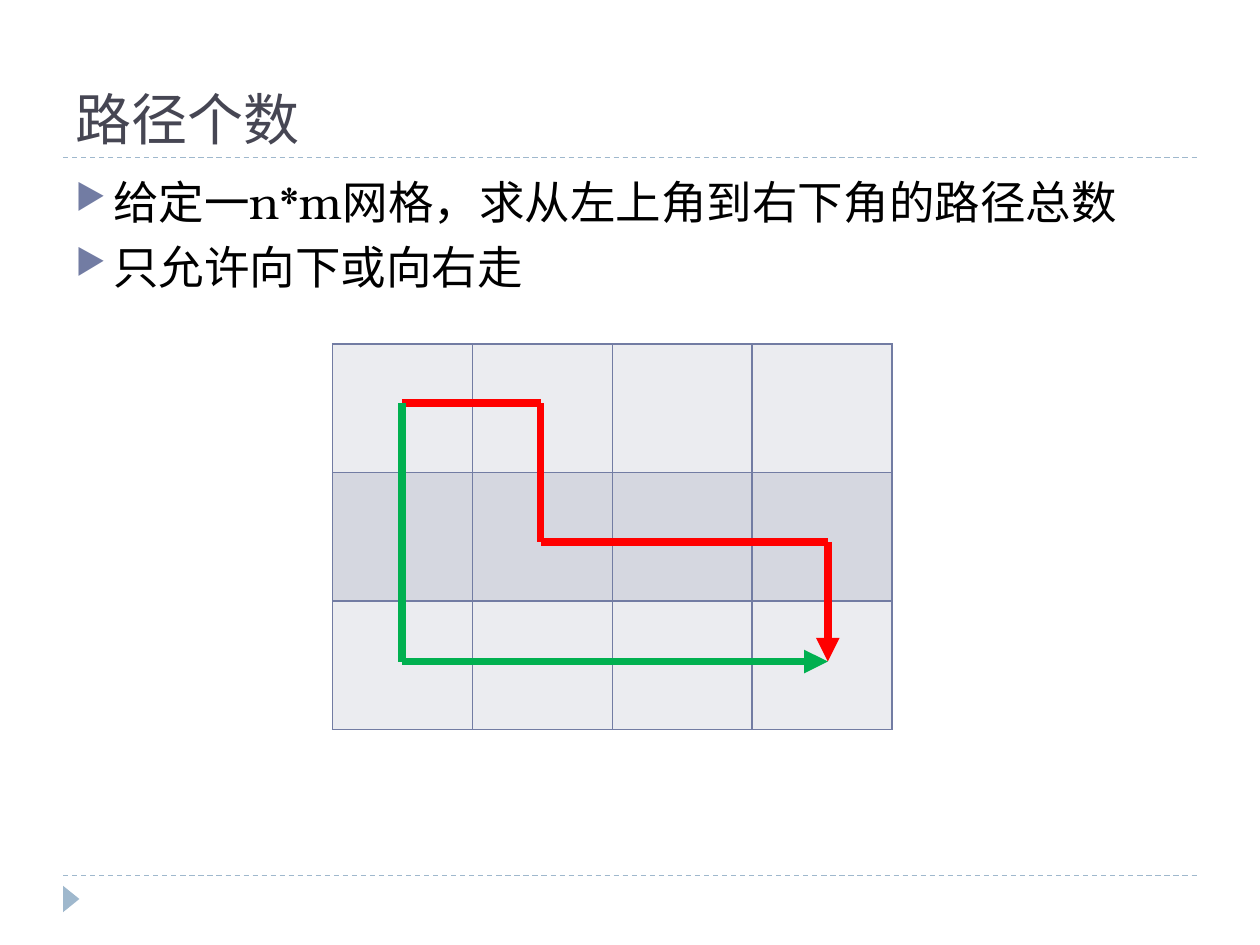
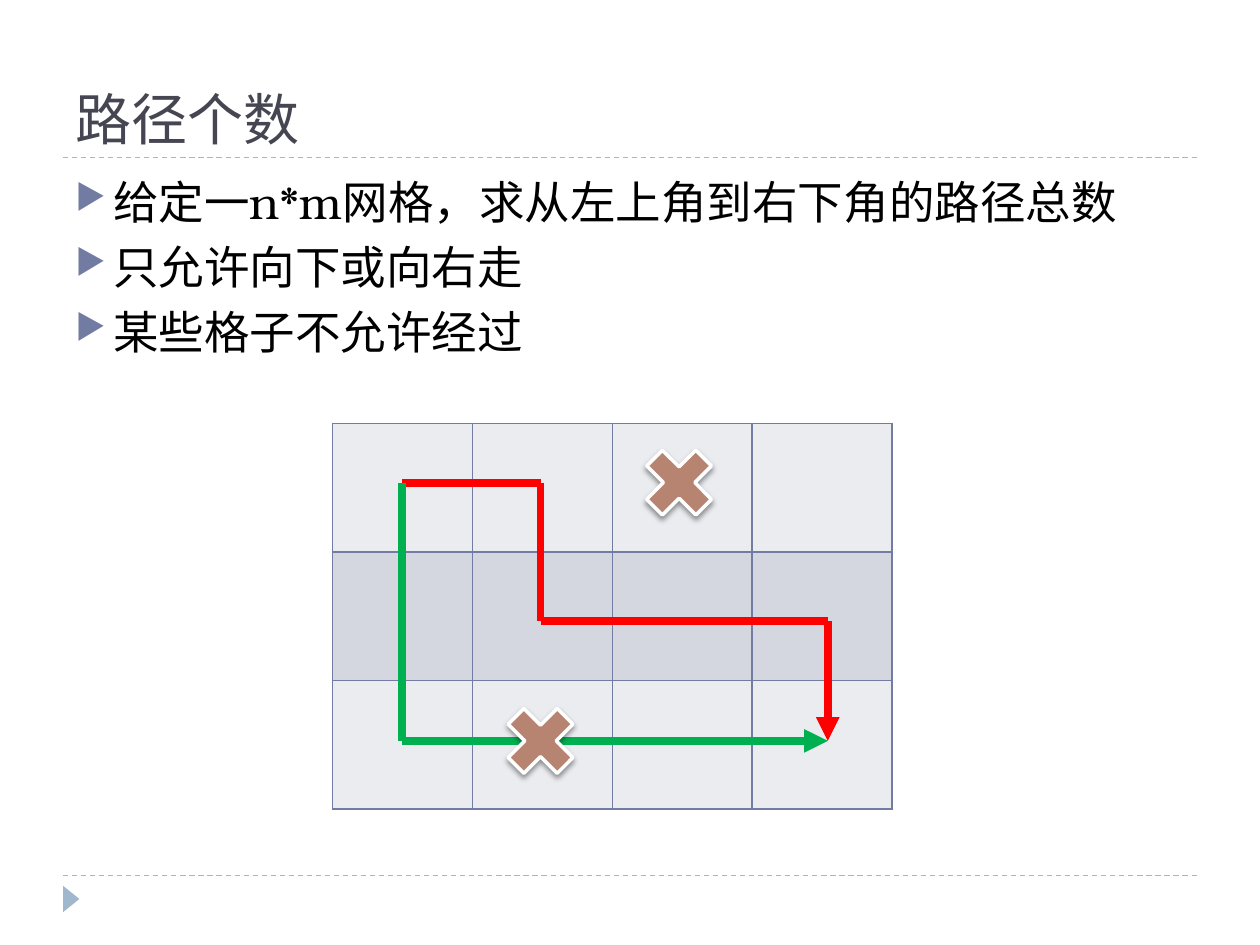
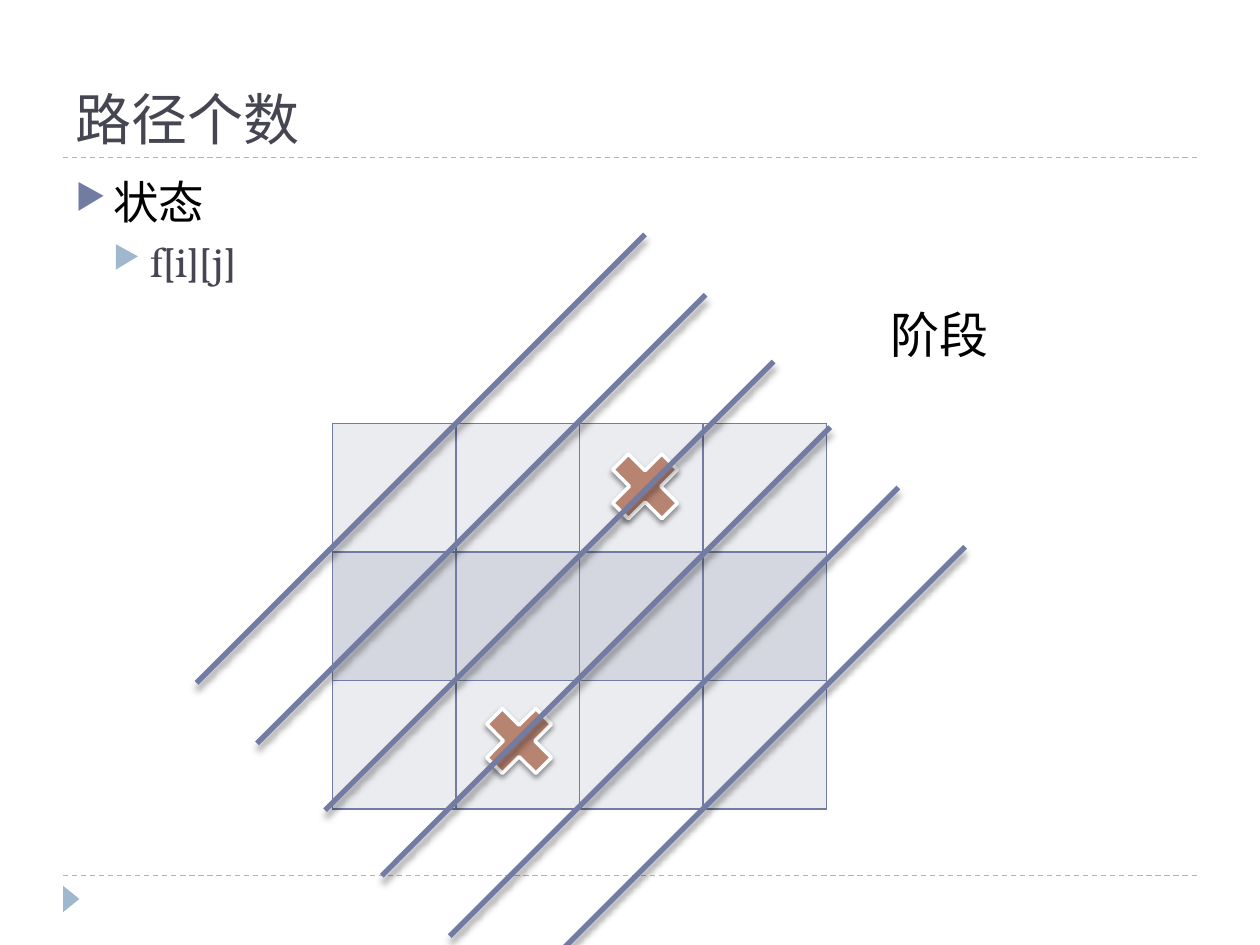
from dataclasses import dataclass
from itertools import pairwise
from typing import NamedTuple

from lxml.etree import SubElement
from pptx import Presentation
from pptx.dml.color import RGBColor
from pptx.enum.dml import MSO_LINE
from pptx.enum.shapes import MSO_CONNECTOR, MSO_SHAPE
from pptx.enum.text import MSO_ANCHOR, MSO_AUTO_SIZE
from pptx.oxml.ns import qn
from pptx.util import Inches, Pt


@dataclass(frozen=True)
class Theme:
    title: str = "464653"
    text: str = "000000"
    accent: str = "727CA3"
    soft: str = "9FB8CD"
    cell: str = "EBECF0"
    band: str = "D5D7E0"
    red: str = "FF0000"
    green: str = "00B050"
    cross: str = "B88472"
    white: str = "FFFFFF"
    title_font: str = "Arial"
    body_font: str = "TeX Gyre Bonum"
    label_font: str = "Cabin"
    title_size: float = 32
    body_size: float = 26
    sub_size: float = 23
    label_size: float = 28


class Point(NamedTuple):
    x: float
    y: float


class Shadow(NamedTuple):
    blur: float
    dist: float


class Bullet(NamedTuple):
    text: str
    level: int = 0


class Grid(NamedTuple):
    left: float
    top: float
    col: float
    row: float = 1.02
    cols: int = 4
    rows: int = 3


T = Theme()
CROSS_SHADOW = Shadow(3, 2)
LINE_SHADOW = Shadow(4, 3.4)

# Routes and blocked cells, measured from the grid's top left corner
RED_ROUTE = [Point(0.55, 0.47), Point(1.65, 0.47), Point(1.65, 1.57),
             Point(2.75, 1.57), Point(3.93, 1.57), Point(3.93, 2.52)]
GREEN_ROUTE = [Point(0.55, 0.47), Point(0.55, 1.49), Point(0.55, 2.52),
               Point(1.65, 2.52), Point(2.75, 2.52), Point(3.93, 2.52)]


def rgb(color: str) -> RGBColor:
    return RGBColor.from_string(color)


def set_effects(shape, shadow: Shadow | None = None) -> None:
    """Replace the theme's shadow with the given one, or with none."""
    effects = SubElement(shape.element.spPr, qn("a:effectLst"))
    if shadow:
        outer = SubElement(effects, qn("a:outerShdw"), blurRad=str(Pt(shadow.blur)),
                           dist=str(Pt(shadow.dist)), dir="5400000", rotWithShape="0")
        color = SubElement(outer, qn("a:srgbClr"), val="000000")
        SubElement(color, qn("a:alpha"), val="40000")


def add_line(s, start: Point, end: Point, color: str, width: float, dashed: bool = False,
             arrow: bool = False, shadow: Shadow | None = None) -> None:
    line = s.shapes.add_connector(MSO_CONNECTOR.STRAIGHT, Inches(start.x), Inches(start.y),
                                  Inches(end.x), Inches(end.y))
    line.line.color.rgb = rgb(color)
    line.line.width = Pt(width)
    if dashed:
        line.line.dash_style = MSO_LINE.DASH
    if arrow:
        SubElement(line.element.spPr.find(qn("a:ln")), qn("a:tailEnd"), type="triangle")
    set_effects(line, shadow)


def add_run(p, text: str, font: str, size: float, color: str) -> None:
    r = p.add_run()
    r.text = text
    r.font.name = font
    r.font.size = Pt(size)
    r.font.color.rgb = rgb(color)


def add_box(s, left: float, top: float, width: float, height: float, wrap: bool = True):
    tf = s.shapes.add_textbox(Inches(left), Inches(top), Inches(width), Inches(height)).text_frame
    tf.word_wrap = wrap
    return tf


def add_bullets(s, bullets: list[Bullet]) -> None:
    tf = add_box(s, 0.5, 1.33, 9, 5.4)
    for i, (text, level) in enumerate(bullets):
        p = tf.add_paragraph() if i else tf.paragraphs[0]
        p.level = level
        p.space_before = Pt(5 if level else 6)
        pPr = p._p.get_or_add_pPr()
        pPr.set("marL", str(Inches(0.3 * (level + 1))))
        pPr.set("indent", str(Inches(-0.3)))
        color = SubElement(pPr, qn("a:buClr"))
        SubElement(color, qn("a:srgbClr"), val=T.soft if level else T.accent)
        SubElement(pPr, qn("a:buSzPct"), val="76000")
        SubElement(pPr, qn("a:buChar"), char="▶")
        add_run(p, text, T.body_font, T.sub_size if level else T.body_size,
                T.title if level else T.text)


def add_base(prs, title: str, bullets: list[Bullet]):
    """Slide with the shared rules, corner marker, title and bullets."""
    s = prs.slides.add_slide(prs.slide_layouts[6])
    for y in (6.95, 1.25):
        add_line(s, Point(0.5, y), Point(9.5, y), T.soft, 0.75, dashed=True)
    marker = s.shapes.add_shape(MSO_SHAPE.ISOSCELES_TRIANGLE, Inches(0.46), Inches(7.07),
                                Inches(0.21), Inches(0.13))
    marker.rotation = 90
    marker.fill.solid()
    marker.fill.fore_color.rgb = rgb(T.soft)
    marker.line.fill.background()
    marker.shadow.inherit = False
    tf = add_box(s, 0.5, 0.17, 9, 1.08)
    tf.vertical_anchor = MSO_ANCHOR.BOTTOM
    add_run(tf.paragraphs[0], title, T.title_font, T.title_size, T.title)
    add_bullets(s, bullets)
    return s


def add_grid(s, g: Grid) -> None:
    table = s.shapes.add_table(g.rows, g.cols, Inches(g.left), Inches(g.top),
                               Inches(g.col * g.cols), Inches(g.row * g.rows)).table
    table.first_row = table.horz_banding = False
    for i in range(g.rows):
        for j in range(g.cols):
            cell = table.cell(i, j)
            tcPr = cell._tc.get_or_add_tcPr()
            for side in ("lnL", "lnR", "lnT", "lnB"):
                ln = SubElement(tcPr, qn(f"a:{side}"), w=str(Pt(1)))
                SubElement(SubElement(ln, qn("a:solidFill")), qn("a:srgbClr"), val=T.accent)
            cell.fill.solid()
            cell.fill.fore_color.rgb = rgb(T.band if i % 2 else T.cell)


def add_route(s, g: Grid, points: list[Point], color: str) -> None:
    stops = [Point(g.left + x, g.top + y) for x, y in points]
    for start, end in pairwise(stops):
        add_line(s, start, end, color, 4.5, arrow=end is stops[-1])


def add_cross(s, g: Grid, center: Point, size: float = 0.75) -> None:
    cross = s.shapes.add_shape(MSO_SHAPE.MATH_MULTIPLY, Inches(g.left + center.x - size / 2),
                               Inches(g.top + center.y - size / 2), Inches(size), Inches(size))
    cross.fill.solid()
    cross.fill.fore_color.rgb = rgb(T.cross)
    cross.line.color.rgb = rgb(T.white)
    cross.line.width = Pt(2)
    set_effects(cross, CROSS_SHADOW)


prs = Presentation()
prs.slide_width, prs.slide_height = Inches(10), Inches(7.5)

TITLE = "路径个数"
RULES = [Bullet("给定一n*m网格，求从左上角到右下角的路径总数"), Bullet("只允许向下或向右走")]

# Slides 1 and 2: two routes, first on a free grid, then with blocked cells
for bullets, top, blocked in (
    (RULES, 2.73, []),
    (RULES + [Bullet("某些格子不允许经过")], 3.36, [Point(1.65, 2.52), Point(2.75, 0.47)]),
):
    s = add_base(prs, TITLE, bullets)
    grid = Grid(2.64, top, 1.11)
    add_grid(s, grid)
    add_route(s, grid, RED_ROUTE, T.red)
    add_route(s, grid, GREEN_ROUTE, T.green)
    for center in blocked:
        add_cross(s, grid, center)

# Slide 3: state, with the stages as diagonals
s = add_base(prs, TITLE, [Bullet("状态"), Bullet("f[i][j]", 1)])
grid = Grid(2.64, 3.36, 0.98)
add_grid(s, grid)
for center in (Point(1.48, 2.52), Point(2.48, 0.5)):
    add_cross(s, grid, center)
SPAN = 3.56
for x, y in ((1.56, 5.42), (2.04, 5.9), (2.58, 6.43), (3.03, 6.95), (3.57, 7.43), (4.1, 7.9)):
    add_line(s, Point(x, y), Point(x + SPAN, y - SPAN), T.accent, 3, shadow=LINE_SHADOW)
tf = add_box(s, 6.97, 2.37, 0.99, 0.57, wrap=False)
tf.auto_size = MSO_AUTO_SIZE.SHAPE_TO_FIT_TEXT
add_run(tf.paragraphs[0], "阶段", T.label_font, T.label_size, T.text)

prs.save("out.pptx")
